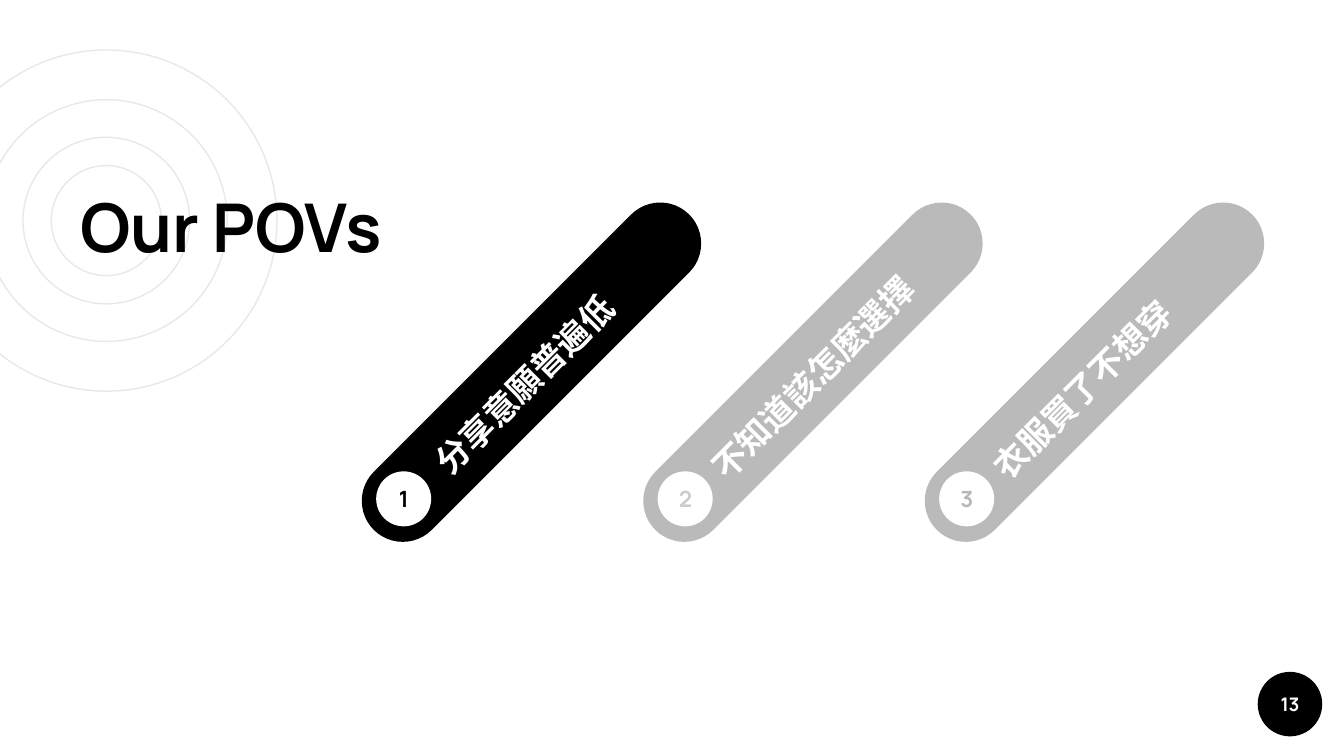
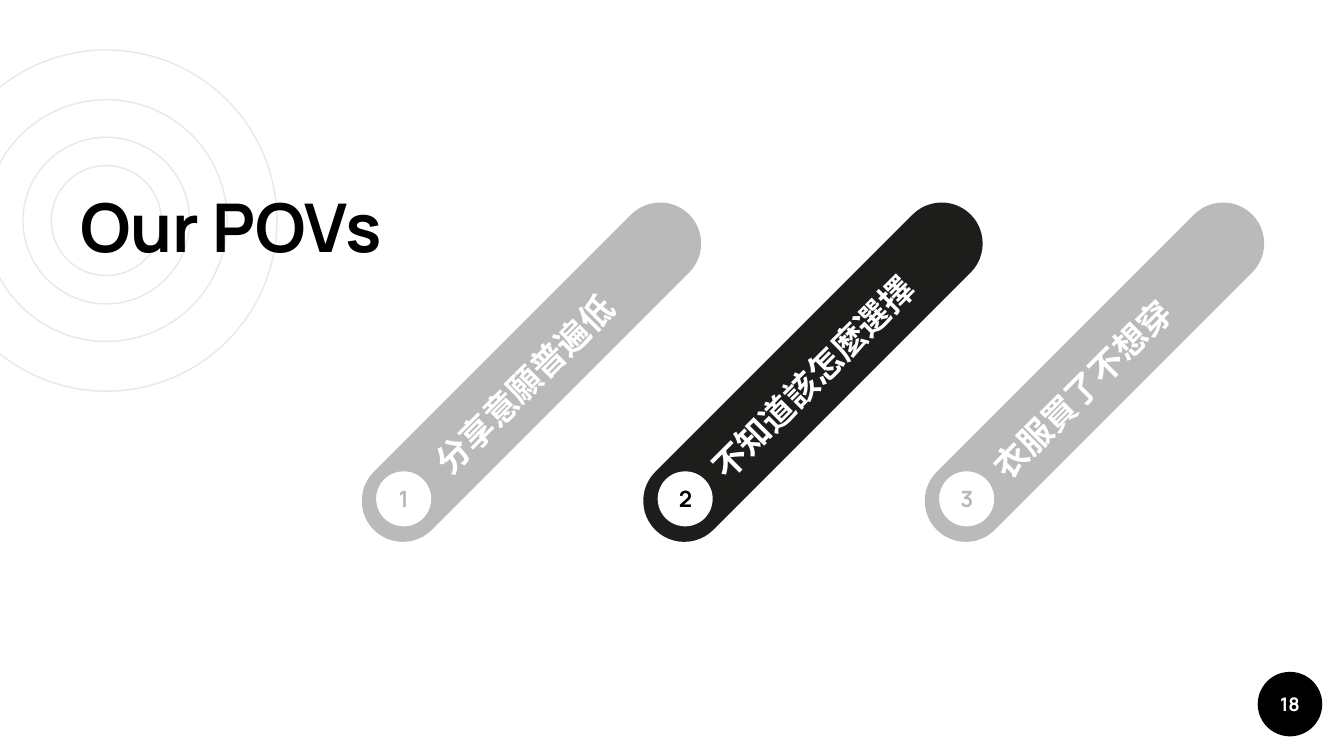
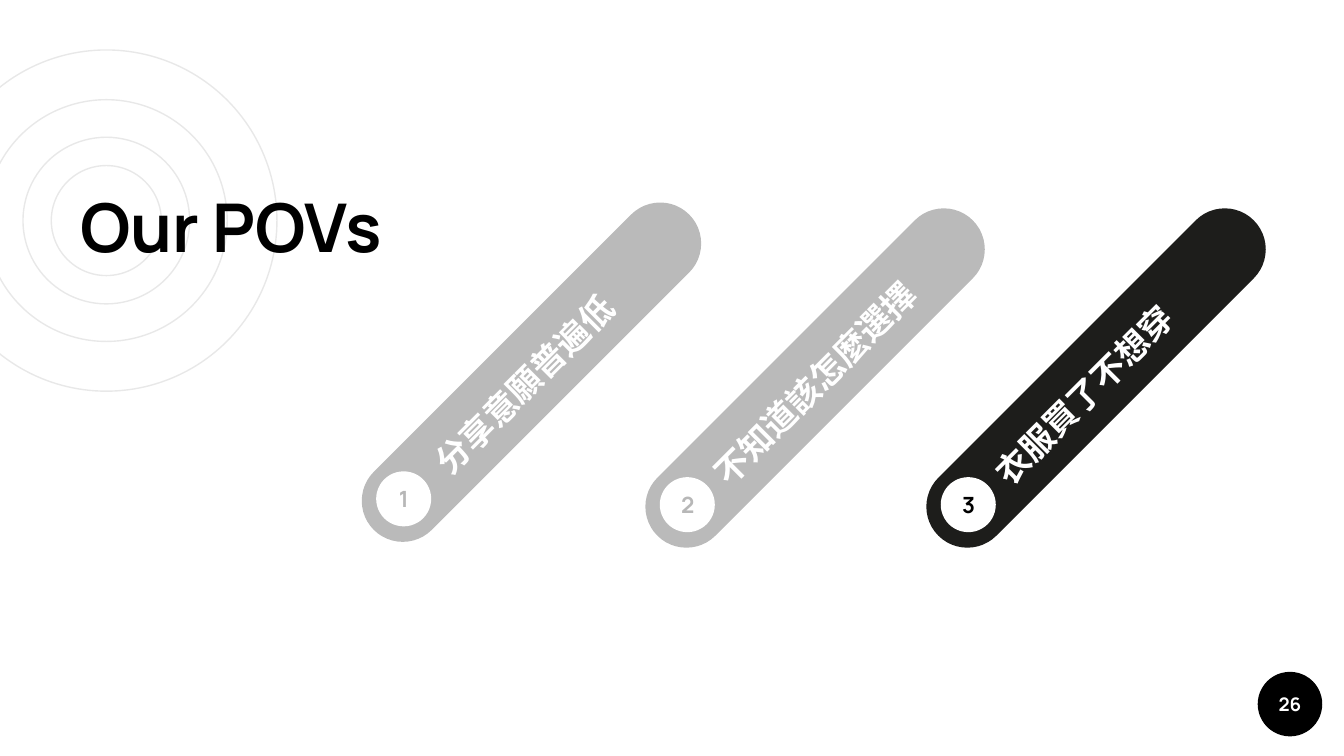
from dataclasses import dataclass

from lxml import etree
from pptx import Presentation
from pptx import util as u
from pptx.dml.color import RGBColor
from pptx.enum import shapes, text
from pptx.oxml.ns import qn


@dataclass(frozen=True)
class Theme:
    """Colours, font and type sizes shared by all slides."""
    font: str = "Manrope"
    black: str = "000000"
    ink: str = "1D1D1B"
    white: str = "FFFFFF"
    ring: str = "E8E8E8"
    muted: str = "B7B7B7"
    pale: str = "CCCCCC"
    faded_alpha: int = 27
    title_pt: int = 36
    label_pt: int = 18
    badge_pt: int = 12
    page_pt: int = 10


T = Theme()
TITLE = "Our POVs"
LABELS = (" 分享意願普遍低", "不知道該怎麼選擇", "衣服買了不想穿")
PILL_STEP = 5.32
RING_CENTRE = (2.01, 4.17)
RING_DIAMETERS = (6.45, 3.15, 4.57, 2.08)
PAGE_BOX = (23.77, 12.7, 1.22, 1.22)


def cm(*values):
    """Convert centimetre values to lengths."""
    return [u.Cm(v) for v in values]


def write(sp, words, size, color, align=text.PP_ALIGN.LEFT,
          anchor=text.MSO_ANCHOR.MIDDLE, spacing=1.0):
    """Fill a shape's text frame with one bold run."""
    tf = sp.text_frame
    tf.word_wrap = True
    tf.auto_size = text.MSO_AUTO_SIZE.NONE
    tf.vertical_anchor = anchor
    tf.margin_left = tf.margin_right = u.Cm(0.25)
    tf.margin_top = tf.margin_bottom = u.Cm(0.25)
    p = tf.paragraphs[0]
    p.alignment = align
    p.line_spacing = spacing
    r = p.add_run()
    r.text = words
    r.font.name = T.font
    r.font.size = u.Pt(size)
    r.font.bold = True
    r.font.color.rgb = RGBColor.from_string(color)
    etree.SubElement(r.font._element, qn("a:ea"), typeface=T.font)


def add_shape(parent, kind, box, fill=None, line=None, alpha=None):
    """Add a shadowless preset shape with optional fill, line and opacity."""
    sp = parent.add_shape(kind, *cm(*box))
    sp.shadow.inherit = False
    if fill:
        sp.fill.solid()
        sp.fill.fore_color.rgb = RGBColor.from_string(fill)
    else:
        sp.fill.background()
    if line:
        sp.line.color.rgb = RGBColor.from_string(line)
        sp.line.width = u.Pt(0.75)
    else:
        sp.line.fill.background()
    if alpha:
        clr = sp.element.spPr.find(qn("a:solidFill"))[0]
        etree.SubElement(clr, qn("a:alpha"), val=str(alpha * 1000))
    return sp


def decorate_layout(layout, slide):
    """Put the rings and the page-number disc on the layout."""
    oval = shapes.MSO_SHAPE.OVAL
    x, y = RING_CENTRE
    decor = [add_shape(slide.shapes, oval, (x - d / 2, y - d / 2, d, d), line=T.ring)
             for d in RING_DIAMETERS]
    decor.append(add_shape(slide.shapes, oval, PAGE_BOX, fill=T.black))
    for sp in decor:
        layout.shapes.element.append(sp.element)


def add_title(slide):
    """Place and format the slide title."""
    sp = slide.shapes.title
    sp.left, sp.top, sp.width, sp.height = cm(1.27, 3.25, 8.64, 1.9)
    write(sp, TITLE, T.title_pt, T.black, anchor=text.MSO_ANCHOR.TOP)


def add_page_number(slide, number):
    """Write the page number over the disc."""
    sp = slide.shapes.add_textbox(*cm(*PAGE_BOX))
    write(sp, str(number), T.page_pt, T.white, text.PP_ALIGN.CENTER)


def add_pill(slide, index, shift, fill, digit_color):
    """Add a slanted pill with its numbered badge and label."""
    dx, dy = index * PILL_STEP + shift[0], shift[1]
    group = slide.shapes.add_group_shape().shapes
    pill = add_shape(group, shapes.MSO_SHAPE.ROUNDED_RECTANGLE,
                     (9.27 + dx, 2.82 + dy, 1.55, 8.43), fill or T.black,
                     alpha=None if fill else T.faded_alpha)
    pill.adjustments[0] = 0.5
    pill.rotation = 45
    badge = add_shape(group, shapes.MSO_SHAPE.OVAL,
                      (7.11 + dx, 8.91 + dy, 1.04, 1.04), T.white)
    write(badge, str(index + 1), T.badge_pt, digit_color, text.PP_ALIGN.CENTER)
    label = group.add_textbox(*cm(7.08 + dx, 6.22 + dy, 6.48, 1.09))
    label.rotation = 315
    write(label, LABELS[index], T.label_pt, T.white, spacing=1.15)


def add_pov_slide(slide, page, active, fill, muted=(T.muted,) * 3,
                  shifts=((0, 0),) * 3):
    """Fill a slide that highlights one point of view."""
    add_title(slide)
    add_page_number(slide, page)
    for i, shift in enumerate(shifts):
        on = i == active
        add_pill(slide, i, shift, fill if on else None, T.black if on else muted[i])


def main():
    """Build and save the three slides."""
    prs = Presentation()
    prs.slide_width, prs.slide_height = cm(25.4, 14.29)
    layout = prs.slide_layouts[5]
    first, second, third = (prs.slides.add_slide(layout) for _ in LABELS)
    decorate_layout(layout, first)
    add_pov_slide(first, 13, 0, T.black, muted=(T.muted, T.pale, T.muted))
    add_pov_slide(second, 18, 1, T.ink)
    add_pov_slide(third, 26, 2, T.ink, shifts=((0, 0), (0.04, 0.11), (0.03, 0.11)))
    prs.save("out.pptx")


if __name__ == "__main__":
    main()
